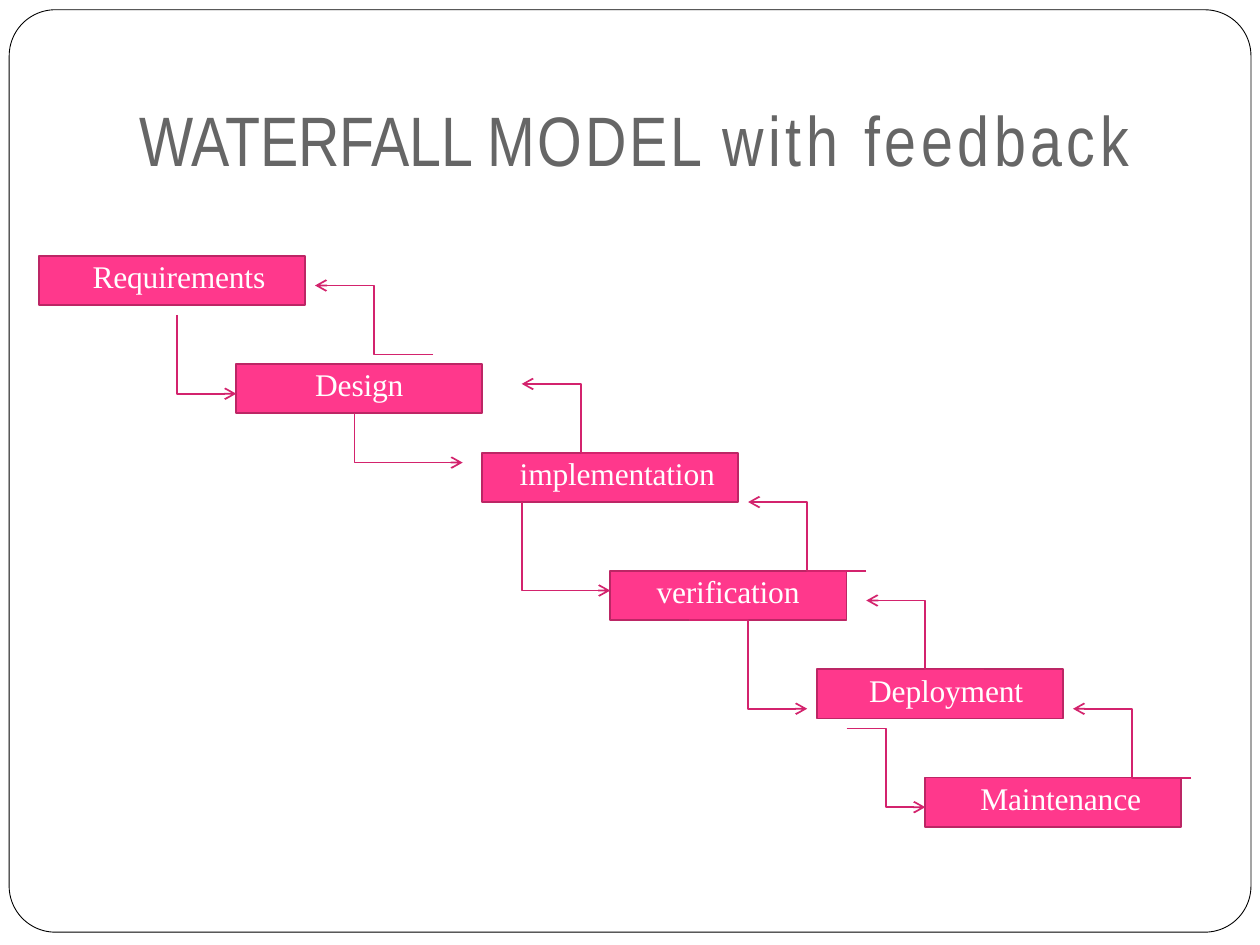
"""Build a slide of the waterfall model with feedback arrows."""
from pptx import Presentation, util as u
from pptx.dml.color import RGBColor
from pptx.enum import shapes, text
from pptx.oxml import ns, xmlchemy

PINK = RGBColor(0xFF, 0x38, 0x8C)
BOX_EDGE = RGBColor(0xBC, 0x26, 0x65)
ARROW = RGBColor(0xD3, 0x23, 0x6D)
GREY = RGBColor(0x66, 0x66, 0x66)
BLACK = RGBColor(0, 0, 0)
WHITE = RGBColor(0xFF, 0xFF, 0xFF)

presentation = Presentation()
presentation.slide_width, presentation.slide_height = u.Inches(10), u.Inches(7.5)
slide = presentation.slides.add_slide(presentation.slide_layouts[6])
UNIT = presentation.slide_width / 128


def grid(*values):
    return [round(value * UNIT) for value in values]


def add_arrow(points):
    builder = slide.shapes.build_freeform(*points[0], scale=UNIT)
    builder.add_line_segments(points[1:], close=False)
    arrow = builder.convert_to_shape()
    arrow.shadow.inherit = False
    arrow.fill.background()
    arrow.line.color.rgb = ARROW
    arrow.line.width = u.Pt(1)
    tail = xmlchemy.OxmlElement("a:tailEnd")
    tail.set("type", "arrow")
    arrow._element.spPr.find(ns.qn("a:ln")).append(tail)


frame = slide.shapes.add_shape(
    shapes.MSO_SHAPE.ROUNDED_RECTANGLE, *grid(0.93, 1, 126.15, 93.7))
frame.adjustments[0] = 0.05
frame.shadow.inherit = False
frame.fill.background()
frame.line.color.rgb = BLACK
frame.line.width = u.Pt(0.5)

title = slide.shapes.add_textbox(*grid(14, 2.8, 103.7, 15.7)).text_frame
title.word_wrap = True
title.margin_left, title.margin_top = grid(0.13, 7)
title.margin_right = title.margin_bottom = 0
paragraph = title.paragraphs[0]
paragraph.space_before = u.Pt(1)
paragraph.font.name = "Arial Narrow"
paragraph.font.size = u.Pt(40)
paragraph.font.color.rgb = GREY
for words, spacing in (("WATERFALL ", 0), ("MODEL ", 160), ("with ", 280), ("feedback", 260)):
    run = paragraph.add_run()
    run.text = words
    run._r.get_or_add_rPr().set("spc", str(spacing))

phases = [
    ("Requirements", 4, 26, 27, 5.4),
    ("Design", 24, 37, 25, 0),
    ("implementation", 49, 46, 26, 3.8),
    ("verification", 62, 58, 24, 4.7),
    ("Deployment", 83, 68, 25, 5.3),
    ("Maintenance", 94, 79, 26, 5.6),
]
for name, column, row, width, indent in phases:
    box = slide.shapes.add_shape(shapes.MSO_SHAPE.RECTANGLE, *grid(column, row, width, 5))
    box.shadow.inherit = False
    box.fill.solid()
    box.fill.fore_color.rgb = PINK
    box.line.color.rgb = BOX_EDGE
    box.line.width = u.Pt(1)
    label = box.text_frame
    label.word_wrap = True
    label.vertical_anchor = text.MSO_ANCHOR.TOP
    label.margin_left, label.margin_top = grid(indent, 0.13)
    label.margin_right = label.margin_bottom = 0
    paragraph = label.paragraphs[0]
    paragraph.alignment = text.PP_ALIGN.LEFT if indent else text.PP_ALIGN.CENTER
    paragraph.space_before = u.Pt(0.7)
    paragraph.font.name = "Times New Roman"
    paragraph.font.size = u.Pt(18)
    paragraph.font.color.rgb = WHITE
    run = paragraph.add_run()
    run.text = name
    run._r.get_or_add_rPr().set("spc", "-10")

forward_arrows = [
    [(18, 32), (18, 39.5), (23.9, 39.5)],
    [(36.5, 42), (36.5, 47), (46.9, 47)],
    [(53, 51), (53, 60.5), (61.9, 60.5)],
    [(70, 63), (76, 63), (76, 72), (81.9, 72)],
    [(86, 74), (90, 74), (90, 81.5), (93.9, 81.5)],
]
for points in forward_arrows:
    add_arrow(points)

for column, row in ((44, 36), (65, 46), (88, 58), (100, 68), (121, 79)):
    add_arrow([(column, row), (column - 6, row), (column - 6, row - 7), (column - 11.8, row - 7)])

presentation.save("out.pptx")
